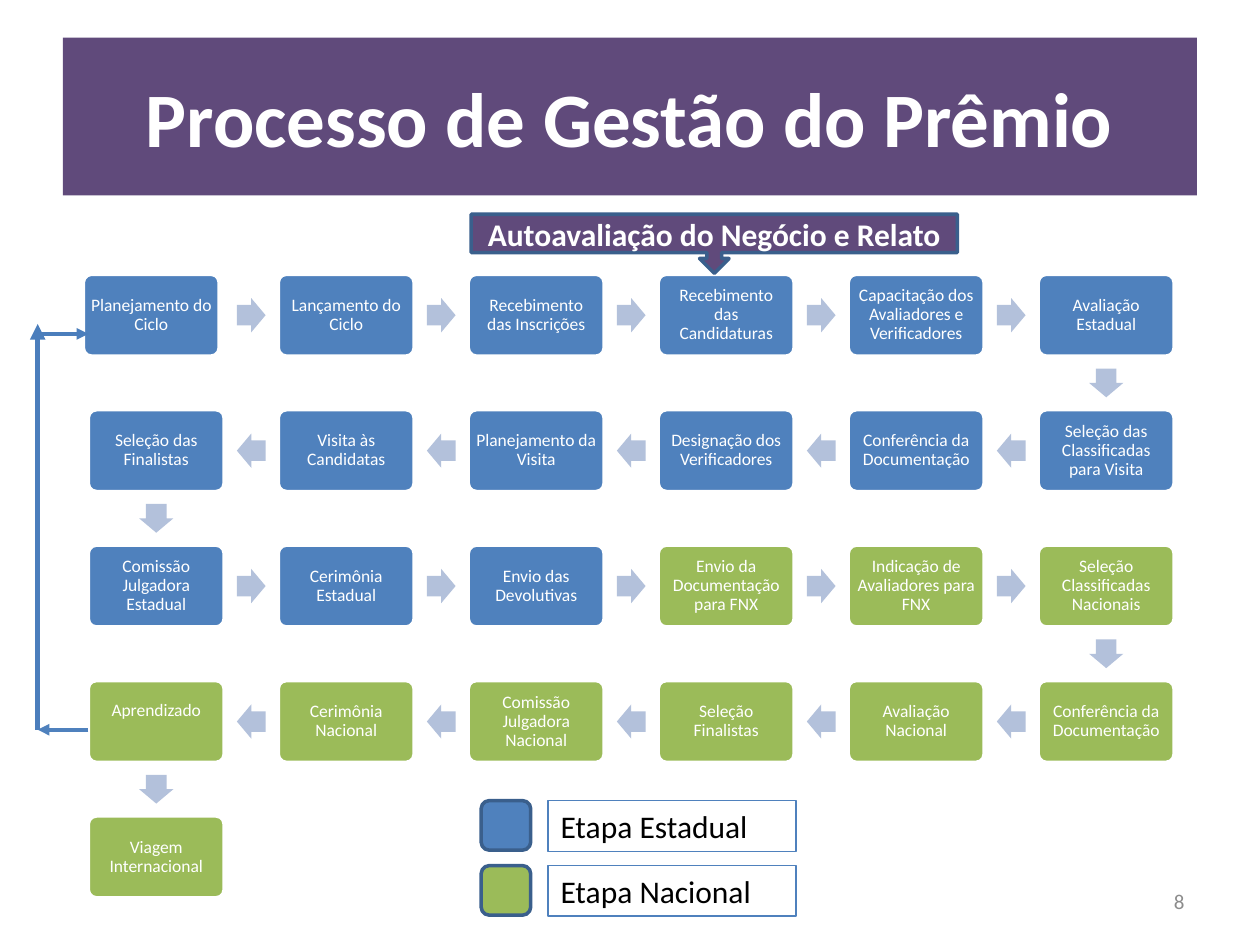
from dataclasses import dataclass
from typing import Optional

from lxml.etree import SubElement
from pptx import Presentation
from pptx.dml.color import RGBColor
from pptx.enum.shapes import MSO_CONNECTOR as Connector, MSO_SHAPE as Preset
from pptx.enum.text import MSO_ANCHOR as Anchor, PP_ALIGN as Align
from pptx.oxml.ns import qn
from pptx.util import Cm, Pt

COLORS = {
    "state": "4F81BD",
    "national": "9BBB59",
    "arrow": "B3C1DB",
    "return": "4B7EBC",
    "outline": "3A5F8C",
    "purple": "604A7B",
    "white": "FFFFFF",
    "black": "000000",
    "gray": "8C8C8C",
}

COLUMNS = 6
GRID_LEFT, GRID_TOP = 1.78, 5.53
COLUMN_STEP, ROW_STEP = 3.83, 2.73
STEP_WIDTH, STEP_HEIGHT = 2.74, 1.65
ARROW_LENGTH, ARROW_WIDTH = 0.58, 0.69
FIRST_NATIONAL = 15

STEPS = [
    "Planejamento do Ciclo", "Lançamento do Ciclo", "Recebimento das Inscrições",
    "Recebimento das Candidaturas", "Capacitação dos Avaliadores e Verificadores",
    "Avaliação Estadual",
    "Seleção das Classificadas para Visita", "Conferência da Documentação",
    "Designação dos Verificadores", "Planejamento da Visita", "Visita às Candidatas",
    "Seleção das Finalistas",
    "Comissão Julgadora Estadual", "Cerimônia Estadual", "Envio das Devolutivas",
    "Envio da Documentação para FNX", "Indicação de Avaliadores para FNX",
    "Seleção Classificadas Nacionais",
    "Conferência da Documentação", "Avaliação Nacional", "Seleção Finalistas",
    "Comissão Julgadora Nacional", "Cerimônia Nacional", "Aprendizado",
    "Viagem Internacional",
]
LEFT_SHIFTS = {"Planejamento do Ciclo": 0.1}
BOTTOM_MARGINS = {"Aprendizado": 0.53}


@dataclass
class Frame:
    left: float
    top: float
    width: float
    height: float

    def lengths(self) -> tuple:
        return Cm(self.left), Cm(self.top), Cm(self.width), Cm(self.height)


@dataclass
class TextStyle:
    size: float
    color: str = "white"
    bold: bool = False
    align: Align = Align.CENTER
    anchor: Anchor = Anchor.MIDDLE
    spacing: Optional[float] = None


@dataclass
class Link:
    start: tuple
    end: tuple
    color: str
    width: float


LINKS = [
    Link((1.78, 14.71), (0.76, 14.71), "state", 2.25),
    Link((0.76, 14.71), (0.76, 6.53), "return", 3),
    Link((0.76, 6.73), (1.78, 6.73), "return", 2.25),
]
LEGEND = [("Etapa Estadual", "state", 16.14), ("Etapa Nacional", "national", 17.45)]
STEP_STYLE = TextStyle(10, spacing=0.9)
LEGEND_STYLE = TextStyle(18, "black", align=Align.LEFT, anchor=Anchor.TOP)


def rgb(name: str) -> RGBColor:
    return RGBColor.from_string(COLORS[name])


def write_text(shape, text: str, style: TextStyle) -> None:
    frame = shape.text_frame
    frame.word_wrap = True
    frame.vertical_anchor = style.anchor
    para = frame.paragraphs[0]
    para.text = text
    para.alignment = style.align
    if style.spacing:
        para.line_spacing = style.spacing
    para.font.name = "Calibri"
    para.font.size = Pt(style.size)
    para.font.bold = style.bold
    para.font.color.rgb = rgb(style.color)


def add_box(page, preset: Preset, frame: Frame, fill: Optional[str],
            outline: Optional[str] = None, weight: float = 2):
    shape = page.shapes.add_shape(preset, *frame.lengths())
    shape.shadow.inherit = False
    if fill:
        shape.fill.solid()
        shape.fill.fore_color.rgb = rgb(fill)
    else:
        shape.fill.background()
    if outline:
        shape.line.color.rgb = rgb(outline)
        shape.line.width = Pt(weight)
    else:
        shape.line.fill.background()
    return shape


def step_center(index: int) -> tuple[float, float]:
    row, column = divmod(index, COLUMNS)
    if row % 2:
        column = COLUMNS - 1 - column
    return (GRID_LEFT + column * COLUMN_STEP + STEP_WIDTH / 2,
            GRID_TOP + row * ROW_STEP + STEP_HEIGHT / 2)


def add_step(page, index: int, text: str) -> None:
    x, y = step_center(index)
    left = x - STEP_WIDTH / 2 - LEFT_SHIFTS.get(text, 0)
    frame = Frame(left, y - STEP_HEIGHT / 2, STEP_WIDTH, STEP_HEIGHT)
    fill = "state" if index < FIRST_NATIONAL else "national"
    box = add_box(page, Preset.ROUNDED_RECTANGLE, frame, fill, "white")
    box.adjustments[0] = 0.1
    write_text(box, text, STEP_STYLE)
    margins = box.text_frame
    margins.margin_left = margins.margin_right = margins.margin_top = Cm(0.1)
    margins.margin_bottom = Cm(BOTTOM_MARGINS.get(text, 0.1))


def add_step_arrow(page, index: int) -> None:
    (x1, y1), (x2, y2) = step_center(index), step_center(index + 1)
    frame = Frame((x1 + x2 - ARROW_LENGTH) / 2, (y1 + y2 - ARROW_WIDTH) / 2,
                  ARROW_LENGTH, ARROW_WIDTH)
    arrow = add_box(page, Preset.RIGHT_ARROW, frame, "arrow")
    arrow.adjustments[0] = 0.6
    arrow.adjustments[1] = 0.5
    if y2 > y1:
        arrow.rotation = 90
    elif x2 < x1:
        arrow.rotation = 180


def add_link(page, link: Link) -> None:
    line = page.shapes.add_connector(
        Connector.STRAIGHT, *(Cm(value) for value in link.start + link.end))
    line.line.color.rgb = rgb(link.color)
    line.line.width = Pt(link.width)
    SubElement(line.line._get_or_add_ln(), qn("a:tailEnd"), type="triangle")
    SubElement(line._element.spPr, qn("a:effectLst"))


def add_legend(page, text: str, color: str, top: float) -> None:
    add_box(page, Preset.ROUNDED_RECTANGLE, Frame(9.7, top, 1, 1), color, "outline")
    label = add_box(page, Preset.RECTANGLE, Frame(11.05, top, 5, 1.02), None, "state", 0.75)
    write_text(label, text, LEGEND_STYLE)


def main() -> None:
    deck = Presentation()
    deck.slide_width, deck.slide_height = Cm(25.4), Cm(19.05)
    page = deck.slides.add_slide(deck.slide_layouts[6])

    for index, text in enumerate(STEPS):
        add_step(page, index, text)
        if index + 1 < len(STEPS):
            add_step_arrow(page, index)

    number = page.shapes.add_textbox(*Frame(18.2, 17.66, 5.93, 1.01).lengths())
    write_text(number, "8", TextStyle(12, "gray", align=Align.RIGHT))
    for link in LINKS:
        add_link(page, link)
    for text, color, top in LEGEND:
        add_legend(page, text, color, top)

    title = add_box(page, Preset.RECTANGLE, Frame(1.27, 0.76, 22.86, 3.18), "purple")
    write_text(title, "Processo de Gestão do Prêmio", TextStyle(44, bold=True))
    callout = add_box(page, Preset.DOWN_ARROW_CALLOUT, Frame(9.5, 4.32, 9.8, 1.19),
                      "purple", "outline")
    write_text(callout, "Autoavaliação do Negócio e Relato", TextStyle(18, bold=True))
    deck.save("out.pptx")


if __name__ == "__main__":
    main()
